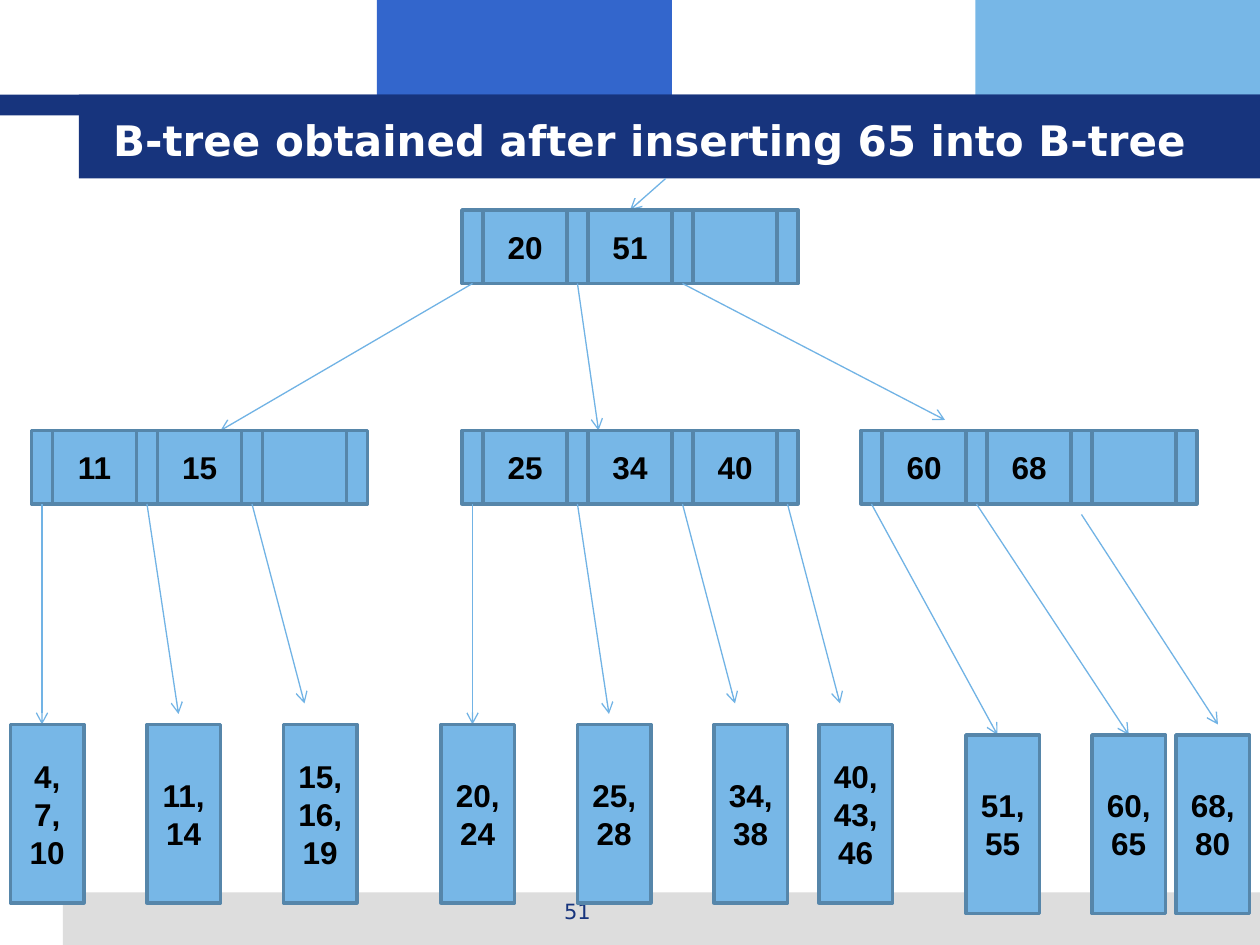
from dataclasses import dataclass

from lxml import etree
from pptx import Presentation
from pptx import util as u
from pptx.dml.color import RGBColor
from pptx.enum import shapes, text
from pptx.oxml.ns import qn

COLS, ROWS = 120, 90
PTR_W, KEY_W, NODE_H = 2, 8, 7
PITCH = PTR_W + KEY_W
LEAF_W, LEAF_H = 7, 17


@dataclass(frozen=True)
class Theme:
    navy: str = "17347D"
    blue: str = "3366CC"
    sky: str = "77B7E7"
    gray: str = "DDDDDD"
    edge: str = "5686AA"
    arrow: str = "71B3E5"
    white: str = "FFFFFF"
    black: str = "000000"
    body_font: str = "Arial"
    title_font: str = "DejaVu Sans"
    title_size: int = 24
    key_size: int = 18
    page_size: int = 12
    edge_width: float = 2
    arrow_width: float = 0.75


T = Theme()
CENTER = text.PP_ALIGN.CENTER
MIDDLE = text.MSO_ANCHOR.MIDDLE


def grid(*cells):
    return [u.Inches(c / 12) for c in cells]


def rgb(value):
    return RGBColor.from_string(value)


def write(sp, words, size, font, color, bold=True, align=CENTER, anchor=MIDDLE):
    tf = sp.text_frame
    tf.word_wrap = True
    tf.vertical_anchor = anchor
    tf.text = words
    for p in tf.paragraphs:
        p.alignment = align
        p.font.size = u.Pt(size)
        p.font.name = font
        p.font.bold = bold
        p.font.color.rgb = rgb(color)


def add_rect(s, cells, fill, edge=None):
    sp = s.shapes.add_shape(shapes.MSO_SHAPE.RECTANGLE, *grid(*cells))
    sp.shadow.inherit = False
    sp.fill.solid()
    sp.fill.fore_color.rgb = rgb(fill)
    if edge:
        sp.line.color.rgb = rgb(edge)
        sp.line.width = u.Pt(T.edge_width)
    else:
        sp.line.fill.background()
    return sp


def add_label(s, cells, words, *style, **options):
    write(s.shapes.add_textbox(*grid(*cells)), words, *style, **options)


def add_box(s, cells, words=""):
    sp = add_rect(s, cells, T.sky, T.edge)
    if words:
        write(sp, words, T.key_size, T.body_font, T.black)


def add_arrow(s, start, end):
    cx = s.shapes.add_connector(shapes.MSO_CONNECTOR.STRAIGHT, *grid(*start, *end))
    cx.line.color.rgb = rgb(T.arrow)
    cx.line.width = u.Pt(T.arrow_width)
    etree.SubElement(cx.line._get_or_add_ln(), qn("a:tailEnd"), type="arrow")
    etree.SubElement(cx._element.spPr, qn("a:effectLst"))


def add_node(s, col, row, keys, targets):
    for i, key in enumerate(keys):
        add_box(s, (col + PTR_W + i * PITCH, row, KEY_W, NODE_H), key)
    for i in range(len(keys) + 1):
        add_box(s, (col + i * PITCH, row, PTR_W, NODE_H))
    for i, target in enumerate(targets):
        add_arrow(s, (col + PTR_W / 2 + i * PITCH, row + NODE_H), target)


def add_leaf(s, col, row, *keys):
    add_box(s, (col, row, LEAF_W, LEAF_H), ",\n".join(keys))


def add_frame(s):
    add_rect(s, (35.9, 0, 28.1, 11), T.blue)
    add_rect(s, (92.9, 0, 27.1, 11), T.sky)
    add_rect(s, (6, 85, 114, 5), T.gray)
    add_rect(s, (0, 9, 120, 2), T.navy)
    add_rect(s, (7.5, 9, 112.5, 8), T.navy)
    add_label(s, (9.6, 9.6, 107.4, 7.4), "B-tree obtained after inserting 65 into B-tree",
              T.title_size, T.title_font, T.white, align=text.PP_ALIGN.LEFT)
    add_label(s, (41, 85, 28, 4.2), "51", T.page_size, T.title_font, T.navy,
              bold=False, anchor=text.MSO_ANCHOR.TOP)


def add_tree(s):
    add_arrow(s, (63.4, 17), (60, 20))
    add_node(s, 44, 20, ("20", "51", ""), [(21, 41), (57, 41), (90, 40)])
    add_node(s, 3, 41, ("11", "15", ""), [(4, 69), (17, 68), (29, 67)])
    add_node(s, 44, 41, ("25", "34", "40"), [(45, 69), (58, 68), (70, 67), (80, 67)])
    add_node(s, 82, 41, ("60", "68", ""), [(95, 70), (107.5, 70)])
    add_arrow(s, (103, 49), (116, 69))

    for col, *keys in [(1, "4", "7", "10"), (14, "11", "14"), (27, "15", "16", "19"),
                       (42, "20", "24"), (55, "25", "28"), (68, "34", "38"),
                       (78, "40", "43", "46")]:
        add_leaf(s, col, 69, *keys)
    for col, *keys in [(92, "51", "55"), (104, "60", "65"), (112, "68", "80")]:
        add_leaf(s, col, 70, *keys)


def main():
    prs = Presentation()
    prs.slide_width, prs.slide_height = grid(COLS, ROWS)
    s = prs.slides.add_slide(prs.slide_layouts[6])
    add_frame(s)
    add_tree(s)
    prs.save("out.pptx")


if __name__ == "__main__":
    main()
